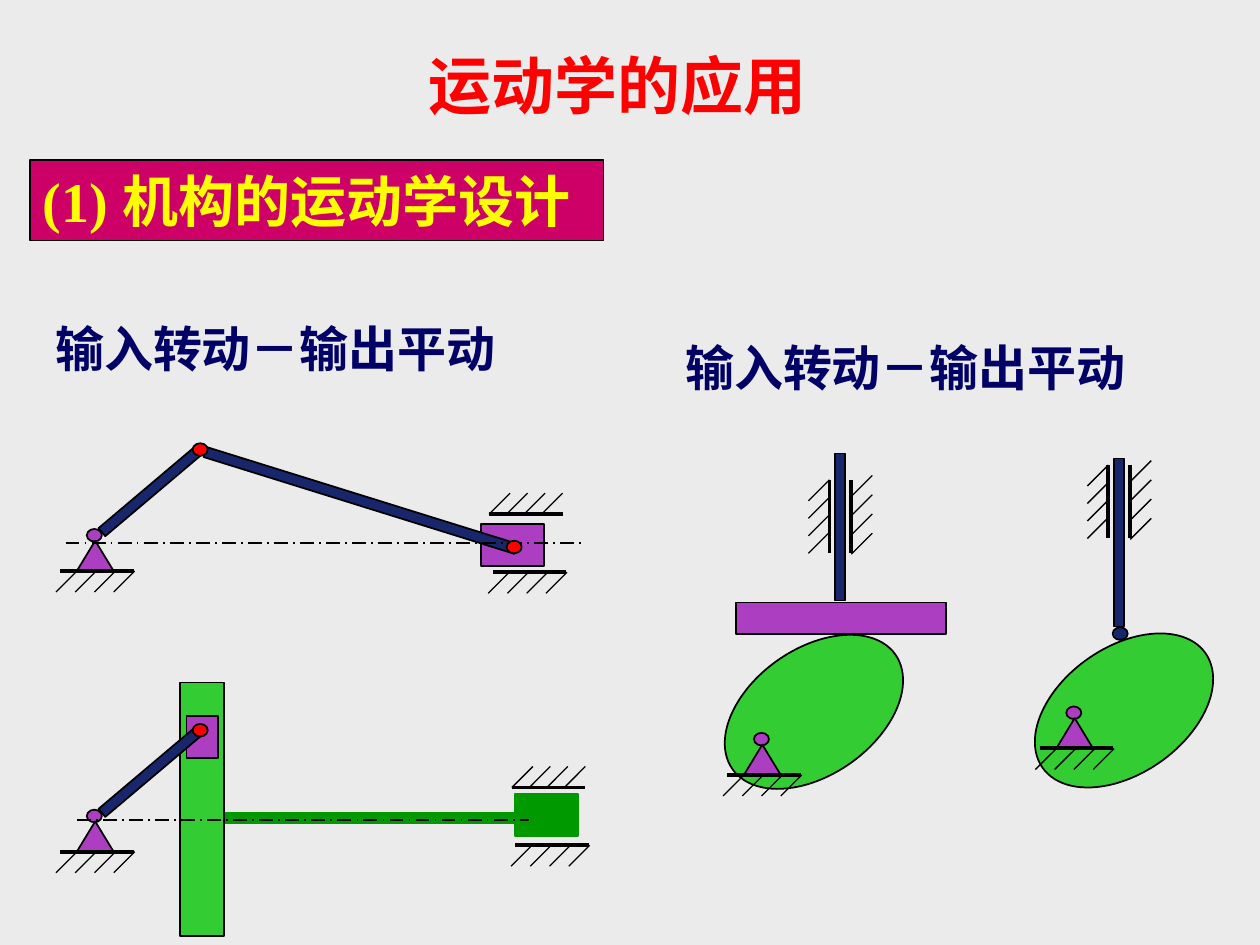
import pptx
import pptx.util
import pptx.dml.color
import pptx.enum.dml
import pptx.enum.shapes
import pptx.enum.text
import pptx.oxml

Pt = pptx.util.Pt
KIND = pptx.enum.shapes.MSO_SHAPE
INK, NAVY, PLUM, LIME, GREEN, RED = (
    "000000", "18276C", "AC3EC1", "33CC33", "009900", "FF0000")
RAIL, SLANT = 42, 12
HATCH = {
    "up": (0, 0, 10, 0),
    "down": (-2.5, SLANT, 11, 0),
    "left": (-SLANT, SLANT, 0, 10),
    "right": (0, 9.5, 0, 11),
}


def color(code):
    return pptx.dml.color.RGBColor.from_string(code)


def shape(slide, kind, box, fill, edge=INK, turn=0):
    item = slide.shapes.add_shape(kind, *map(Pt, box))
    item.shadow.inherit = False
    item.fill.solid()
    item.fill.fore_color.rgb = color(fill)
    item.line.color.rgb = color(edge)
    item.line.width = Pt(1)
    item.rotation = turn
    return item


def line(slide, x, y, dx, dy, width):
    item = slide.shapes.add_connector(
        pptx.enum.shapes.MSO_CONNECTOR.STRAIGHT,
        Pt(x), Pt(y), Pt(x + dx), Pt(y + dy))
    item.line.color.rgb = color(INK)
    item.line.width = Pt(width)
    shade = pptx.oxml.parse_xml(
        '<a:effectLst xmlns:a='
        '"http://schemas.openxmlformats.org/drawingml/2006/main"/>')
    item._element.spPr.append(shade)
    return item


def axis(slide, x, y, size):
    item = line(slide, x, y, size, 0, 1)
    item.line.dash_style = pptx.enum.dml.MSO_LINE.LONG_DASH_DOT


def rail(slide, x, y, side):
    dx, dy, right, down = HATCH[side]
    flat = side in ("up", "down")
    line(slide, x, y, RAIL * flat, RAIL * (not flat), 2.25)
    for i in range(4):
        line(slide, x + dx + i * right, y + dy + i * down,
             SLANT, -SLANT, 0.75)


def pin(slide, x, y, fill):
    shape(slide, KIND.OVAL, (x, y, 8.6, 7.2), fill)


def pivot(slide, x, y):
    pin(slide, x + 15.1, y - 24, PLUM)
    shape(slide, KIND.ISOSCELES_TRIANGLE, (x + 9.4, y - 17.3, 21, 17.3), PLUM)
    rail(slide, x, y, "down")


def crank(slide, x, y):
    pivot(slide, x, y)
    shape(slide, KIND.RECTANGLE, (x + 48.2, y - 81.4, 6, 72), NAVY, turn=49.8)
    pin(slide, x + 75.6, y - 73, RED)


def slider(slide, x, y):
    shape(slide, KIND.RECTANGLE, (x + 243.5, y + 54.5, 36, 24), PLUM)
    rail(slide, x + 248, y + 48.8, "up")
    rail(slide, x + 250, y + 82, "down")
    shape(slide, KIND.RECTANGLE, (x + 171.5, y - 52, 6, 186), NAVY, turn=107.3)
    crank(slide, x + 3, y + 81.3)
    axis(slide, x + 6, y + 65.3, 294.5)
    pin(slide, x + 258, y + 64, RED)


def yoke(slide, x, y):
    shape(slide, KIND.RECTANGLE, (x + 263, y + 63.6, 36, 24), GREEN, GREEN)
    rail(slide, x + 261, y + 60, "up")
    rail(slide, x + 263, y + 93, "down")
    shape(slide, KIND.RECTANGLE, (x + 94, y + 74.3, 186, 6), GREEN, GREEN)
    shape(slide, KIND.RECTANGLE, (x + 71.5, y, 25, 145), LIME)
    shape(slide, KIND.RECTANGLE, (x + 75, y + 19, 18, 24), PLUM)
    crank(slide, x + 3, y + 96.7)
    axis(slide, x + 12.5, y + 78.7, 258.5)


def stem(slide, x, y, size, drop):
    rail(slide, x - 3, y + drop, "left")
    rail(slide, x + 9.5, y + drop, "right")
    shape(slide, KIND.RECTANGLE, (x, y, 6, size), NAVY)


def disc(slide, x, y):
    shape(slide, KIND.OVAL, (x, y, 113.8, 72), LIME, turn=324.9)


def flat_cam(slide, x, y):
    disc(slide, x, y + 111.6)
    stem(slide, x + 68.8, y, 84, 15)
    shape(slide, KIND.RECTANGLE, (x + 12.2, y + 85, 120, 18), PLUM)
    pivot(slide, x + 7.5, y + 183.6)


def roll_cam(slide, x, y):
    stem(slide, x + 51, y, 96, 3.7)
    pin(slide, x + 50.4, y + 96.5, NAVY)
    disc(slide, x, y + 108)
    pivot(slide, x + 8.8, y + 165.7)


def write(item, text, size, face, code, align="LEFT", wrap=True):
    frame = item.text_frame
    frame.text = text
    frame.word_wrap = wrap
    frame.auto_size = pptx.enum.text.MSO_AUTO_SIZE.NONE
    frame.vertical_anchor = pptx.enum.text.MSO_ANCHOR.TOP
    para = frame.paragraphs[0]
    para.alignment = getattr(pptx.enum.text.PP_ALIGN, align)
    for run in para.runs:
        run.font.size = Pt(size)
        run.font.name = face
        run.font.bold = True
        run.font.color.rgb = color(code)


def title(slide, x, y, width, height):
    item = slide.shapes.title
    item.left, item.top = Pt(x), Pt(y)
    item.width, item.height = Pt(width), Pt(height)
    write(item, "运动学的应用", 36, "Calibri", RED, "CENTER")


def banner(slide, *box):
    item = shape(slide, KIND.RECTANGLE, box, "CC0066")
    write(item, "(1) 机构的运动学设计", 32, "Times New Roman", "FFFF00",
          wrap=False)


def label(slide, *box):
    item = slide.shapes.add_textbox(*map(Pt, box))
    write(item, "输入转动－输出平动", 28, "Calibri", "000066")


def main():
    deck = pptx.Presentation()
    deck.slide_width, deck.slide_height = Pt(720), Pt(540)
    slide = deck.slides.add_slide(deck.slide_layouts[5])
    slide.background.fill.solid()
    slide.background.fill.fore_color.rgb = color("EBEBEB")
    title(slide, 173, 23, 360, 51)
    banner(slide, 17.3, 91.4, 327.6, 46)
    slider(slide, 31.5, 245)
    yoke(slide, 31.5, 390)
    roll_cam(slide, 585.4, 262)
    flat_cam(slide, 408.2, 259.2)
    label(slide, 24.5, 178.6, 282, 41)
    label(slide, 384.5, 189.4, 274, 41)
    deck.save("out.pptx")


if __name__ == "__main__":
    main()
